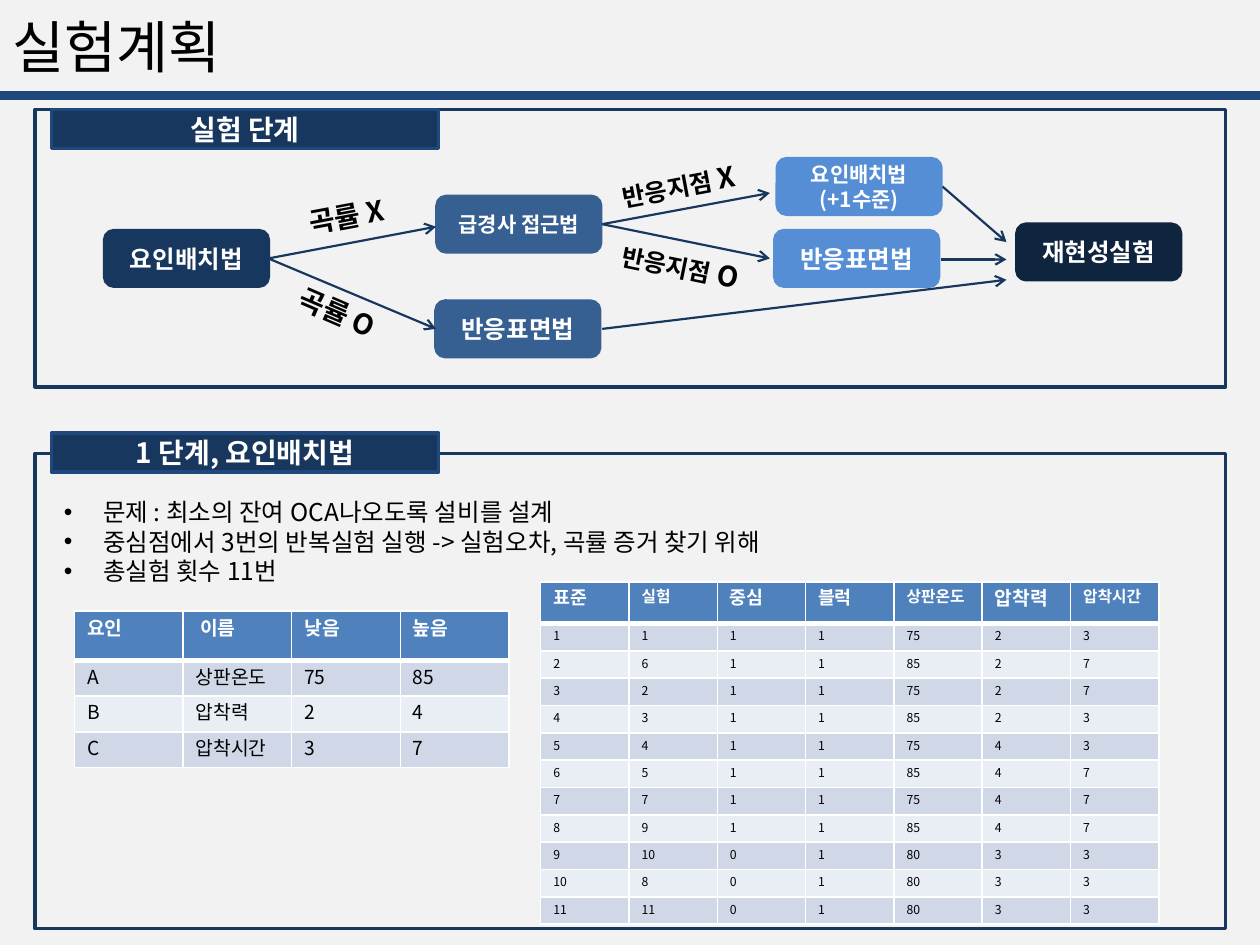
import pptx
import pptx.dml.color
import pptx.enum.shapes
import pptx.enum.text
import pptx.oxml
import pptx.oxml.ns
import pptx.util
from lxml import etree

Cm, Pt = pptx.util.Cm, pptx.util.Pt
SHAPE = pptx.enum.shapes.MSO_SHAPE
ALIGN = pptx.enum.text.PP_ALIGN
ANCHOR = pptx.enum.text.MSO_ANCHOR
qn = pptx.oxml.ns.qn

FONT = "Noto Sans CJK KR"
LINE_HEIGHT = 1.2
COLORS = {
    "background": "F2F2F2", "black": "000000", "white": "FFFFFF",
    "rule": "1F497D", "navy": "17375E", "steel": "376092",
    "sky": "558ED5", "midnight": "0F243E",
    "header": "4F81BD", "odd_row": "D0D8E8", "even_row": "E9EDF4",
}
NODE_SIZE = (3.3, 1.12)
LABEL_SIZE = (3.15, 0.94)


def rgb(color):
    return pptx.dml.color.RGBColor.from_string(COLORS[color])


def set_format(target, values):
    for name, value in values.items():
        setattr(target, name, value)


def write(paragraph, runs, color="black", bold=False, align=ALIGN.LEFT):
    """Fill a paragraph with (text, point size) runs."""
    tallest = max(size for _, size in runs)
    set_format(paragraph, {"alignment": align, "line_spacing": Pt(tallest * LINE_HEIGHT)})
    for text, size in runs:
        if "\v" in text:
            first, text = text.split("\v")
            add_run(paragraph, first, size, color, bold)
            paragraph.add_line_break()
        add_run(paragraph, text, size, color, bold)


def add_run(paragraph, text, size, color, bold):
    run = paragraph.add_run()
    run.text = text
    set_format(run.font, {"name": FONT, "size": Pt(size), "bold": bold})
    run.font.color.rgb = rgb(color)
    etree.SubElement(run.font._element, qn("a:ea"), typeface=FONT)


def add_text_frame(slide, left, top, width, height, anchor=ANCHOR.TOP, rotation=0):
    box = slide.shapes.add_textbox(Cm(left), Cm(top), Cm(width), Cm(height))
    box.rotation = rotation
    set_format(box.text_frame, {"word_wrap": True, "vertical_anchor": anchor})
    return box.text_frame


def add_block(slide, kind, left, top, width, height, fill, line, text="", size=14):
    block = slide.shapes.add_shape(kind, Cm(left), Cm(top), Cm(width), Cm(height))
    block.shadow.inherit = False
    if fill:
        block.fill.solid()
        block.fill.fore_color.rgb = rgb(fill)
    else:
        block.fill.background()
    block.line.color.rgb = rgb(line)
    block.line.width = Pt(2)
    if text:
        set_format(block.text_frame, {"word_wrap": True, "vertical_anchor": ANCHOR.MIDDLE})
        write(block.text_frame.paragraphs[0], [(text, size)], "white", True, ALIGN.CENTER)


def add_line(slide, x1, y1, x2, y2, color, width, arrow=False):
    line = slide.shapes.add_connector(
        pptx.enum.shapes.MSO_CONNECTOR.STRAIGHT, Cm(x1), Cm(y1), Cm(x2), Cm(y2))
    line.line.color.rgb = rgb(color)
    line.line.width = Pt(width)
    if arrow:
        etree.SubElement(line.line._get_or_add_ln(), qn("a:tailEnd"), type="arrow")
    etree.SubElement(line._element.spPr, qn("a:effectLst"))


def add_border(cell, side, width):
    border = etree.SubElement(cell._tc.get_or_add_tcPr(), qn(f"a:ln{side}"), w=str(Pt(width)))
    fill = etree.SubElement(border, qn("a:solidFill"))
    etree.SubElement(fill, qn("a:srgbClr"), val=COLORS["white"])


def add_grid(slide, left, top, column_width, header_height, row_height,
             header, header_sizes, rows, size):
    """Banded table with a heavier line below its header."""
    heights = [header_height] + [row_height] * len(rows)
    table = slide.shapes.add_table(
        len(heights), len(header), Cm(left), Cm(top),
        Cm(column_width * len(header)), Cm(sum(heights))).table
    for column in table.columns:
        column.width = Cm(column_width)
    for r, values in enumerate([header] + rows):
        table.rows[r].height = Cm(heights[r])
        fill = "header" if r == 0 else "odd_row" if r % 2 else "even_row"
        for c, value in enumerate(values):
            cell = table.cell(r, c)
            borders = {"L": 1, "R": 1, "T": 3 if r == 1 else 1, "B": 3 if r == 0 else 1}
            for side, width in borders.items():
                add_border(cell, side, width)
            cell.fill.solid()
            cell.fill.fore_color.rgb = rgb(fill)
            write(cell.text_frame.paragraphs[0],
                  [(str(value), size if r else header_sizes[c])],
                  "black" if r else "white", bold=r == 0)


def add_panel(slide, left, top, width, height, heading, heading_offset):
    add_block(slide, SHAPE.RECTANGLE, left, top, width, height, None, "navy")
    add_block(slide, SHAPE.RECTANGLE, left + 0.33, top + heading_offset, 7.8, 0.79,
              "navy", "rule", heading, 16)


def add_title(slide, left, top, width, height):
    title = add_text_frame(slide, left, top, 22.86, height, ANCHOR.MIDDLE)
    write(title.paragraphs[0], [("실험계획", 32.4)])
    add_line(slide, left, top + 1.93, left + width, top + 1.93, "rule", 5.25)


def add_stages(slide, left, top, width, height):
    add_panel(slide, left, top, width, height, "실험 단계", 0)

    # Methods
    nodes = [
        (1.4, 2.44, "navy", "요인배치법", 14),
        (8.1, 1.75, "steel", "급경사 접근법", 12),
        (8.08, 3.86, "steel", "반응표면법", 14),
        (14.91, 2.44, "sky", "반응표면법", 14),
        (14.96, 0.99, "sky", "요인배치법\v(+1수준)", 12),
        (19.79, 2.31, "midnight", "재현성실험", 14),
    ]
    for x, y, color, text, size in nodes:
        add_block(slide, SHAPE.ROUNDED_RECTANGLE, left + x, top + y, *NODE_SIZE,
                  color, color, text, size)

    # Paths between methods
    paths = [
        (4.7, 3, 8.08, 2.36), (4.7, 3, 8.08, 4.42),
        (11.43, 2.31, 14.81, 1.68), (11.43, 2.31, 14.81, 3),
        (11.43, 4.42, 19.58, 3.43), (18.26, 3.02, 19.58, 3.02),
        (18.29, 1.55, 19.58, 2.67),
    ]
    for x1, y1, x2, y2 in paths:
        add_line(slide, left + x1, top + y1, left + x2, top + y2, "navy", 1.25, arrow=True)

    # Conditions along the paths
    conditions = [
        (4.7, 1.68, -10.6, [("곡률 X", 16)]),
        (4.52, 3.61, 23.3, [("곡률 O", 16)]),
        (11.4, 1.07, -10.6, [("반응지점", 14), (" X", 16)]),
        (11.43, 2.69, 11.5, [("반응지점", 14), (" O", 16)]),
    ]
    for x, y, rotation, runs in conditions:
        label = add_text_frame(slide, left + x, top + y, *LABEL_SIZE, rotation=rotation)
        write(label.paragraphs[0], runs, bold=True, align=ALIGN.CENTER)


def add_factorial_design(slide, left, top, width, height):
    add_panel(slide, left, top, width, height, "1 단계, 요인배치법", -0.41)

    # Notes on the design
    notes = add_text_frame(slide, left + 0.33, top + 0.76, 23.65, 2.82)
    points = [
        "문제 : 최소의 잔여 OCA나오도록 설비를 설계",
        "중심점에서 3번의 반복실험 실행 -> 실험오차, 곡률 증거 찾기 위해",
        "총실험 횟수 11번",
    ]
    for i, point in enumerate(points):
        paragraph = notes.add_paragraph() if i else notes.paragraphs[0]
        write(paragraph, [(point, 14)])
        properties = paragraph._p.get_or_add_pPr()
        properties.set("marL", str(Cm(0.79)))
        properties.set("indent", str(-Cm(0.79)))
        etree.SubElement(properties, qn("a:buFont"), typeface="Arial")
        etree.SubElement(properties, qn("a:buChar"), char="•")

    # Factors and their levels
    factors = [["A", "상판온도", 75, 85], ["B", "압착력", 2, 4], ["C", "압착시간", 3, 7]]
    add_grid(slide, left + 0.79, top + 3.18, 2.19, 0.99, 0.72,
             ["요인", " 이름", "낮음", "높음"], [11] * 4, factors, 11)

    # Experiment runs: order, centre point, temperature, force, time
    runs = [
        (1, 1, 75, 2, 3), (6, 1, 85, 2, 7), (2, 1, 75, 2, 7), (3, 1, 85, 2, 3),
        (4, 1, 75, 4, 3), (5, 1, 85, 4, 7), (7, 1, 75, 4, 7), (9, 1, 85, 4, 7),
        (10, 0, 80, 3, 3), (8, 0, 80, 3, 3), (11, 0, 80, 3, 3),
    ]
    block = 1
    rows = [[number, order, center, block, *levels]
            for number, (order, center, *levels) in enumerate(runs, 1)]
    add_grid(slide, left + 10.19, top + 2.59, 1.78, 0.84, 0.55,
             ["표준", "실험", "중심", "블럭", "상판온도", "압착력", "압착시간"],
             [10.5, 9, 10.5, 10.5, 9, 11, 9], rows, 7)


def main():
    deck = pptx.Presentation()
    set_format(deck, {"slide_width": Cm(25.4), "slide_height": Cm(19.05)})
    slide = deck.slides.add_slide(deck.slide_layouts[6])
    slide.background.fill.solid()
    slide.background.fill.fore_color.rgb = rgb("background")
    add_title(slide, 0, 0, 25.4, 1.83)
    add_stages(slide, 0.71, 2.21, 24, 5.59)
    add_factorial_design(slide, 0.71, 9.14, 24, 9.58)
    deck.save("out.pptx")


if __name__ == "__main__":
    main()
